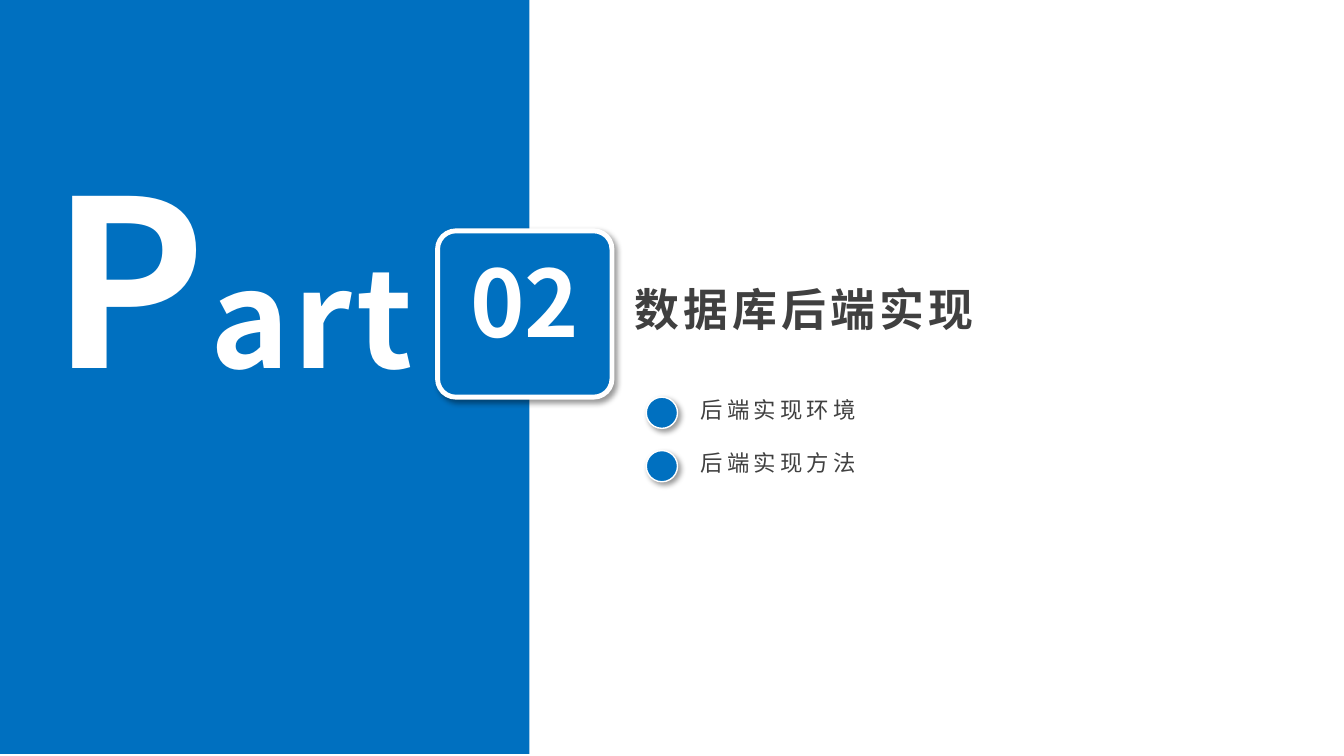
from lxml.etree import SubElement
from pptx import Presentation
from pptx.dml.color import RGBColor
from pptx.enum.shapes import MSO_SHAPE
from pptx.enum.text import PP_ALIGN
from pptx.oxml.ns import qn
from pptx.util import Inches, Pt

BLUE = RGBColor(0x00, 0x70, 0xC0)
WHITE = RGBColor(0xFF, 0xFF, 0xFF)
GRAY = RGBColor(0x40, 0x40, 0x40)


class SectionSlide:
    font_name = "Noto Sans CJK SC"
    line_spacing = 0.89

    def __init__(self, deck):
        self.page = deck.slides.add_slide(deck.slide_layouts[6])

    def panel(self, kind, left, top, width, height, border=None):
        shape = self.page.shapes.add_shape(
            kind, Inches(left), Inches(top), Inches(width), Inches(height))
        shape.shadow.inherit = False
        shape.fill.solid()
        shape.fill.fore_color.rgb = BLUE
        if border is None:
            shape.line.fill.background()
        else:
            shape.line.color.rgb = WHITE
            shape.line.width = Pt(border)
            self.cast_shadow(shape)
        return shape

    def cast_shadow(self, shape):
        effects = shape.element.spPr.find(qn("a:effectLst"))
        shadow = SubElement(
            effects, qn("a:outerShdw"), blurRad=str(Pt(4)), dist=str(Pt(3)),
            dir="2700000", algn="tl", rotWithShape="0")
        color = SubElement(shadow, qn("a:srgbClr"), val="000000")
        SubElement(color, qn("a:alpha"), val="40000")

    def text(self, pieces, left, top, width, height, color,
             bold=False, align=PP_ALIGN.LEFT, spacing=3):
        box = self.page.shapes.add_textbox(
            Inches(left), Inches(top), Inches(width), Inches(height))
        box.text_frame.word_wrap = True
        para = box.text_frame.paragraphs[0]
        para.alignment = align
        para.line_spacing = self.line_spacing
        for words, size in pieces:
            span = para.add_run()
            span.text = words
            span.font.size = Pt(size)
            span.font.bold = bold
            span.font.color.rgb = color
            span.font.name = self.font_name
            properties = span.font._element
            properties.set("spc", str(spacing * 100))
            SubElement(properties, qn("a:ea"), typeface=self.font_name)


def main():
    deck = Presentation()
    deck.slide_width = Inches(13.33)
    deck.slide_height = Inches(7.5)
    slide = SectionSlide(deck)

    slide.panel(MSO_SHAPE.RECTANGLE, 0, -0.02, 5.25, 7.5)
    slide.text([("P", 166), ("art", 96)], -0.83, 1.64, 6.27, 2.89, WHITE,
               bold=True, align=PP_ALIGN.CENTER)

    badge = slide.panel(MSO_SHAPE.ROUNDED_RECTANGLE, 4.34, 2.29, 1.73, 1.65, border=3.5)
    badge.adjustments[0] = 0.11
    slide.text([("02", 66)], 4.28, 2.52, 1.85, 1.21, WHITE,
               bold=True, align=PP_ALIGN.CENTER, spacing=0)

    slide.text([("数据库后端实现", 32)], 6.19, 2.81, 3.79, 0.64, GRAY, bold=True)

    for row, topic in enumerate(["后端实现环境", "后端实现方法"]):
        top = 3.91 + 0.53 * row
        slide.panel(MSO_SHAPE.OVAL, 6.41, top + 0.03, 0.31, 0.31, border=1)
        slide.text([(topic, 16)], 6.85, top, 1.79, 0.37, GRAY)

    deck.save("out.pptx")


if __name__ == "__main__":
    main()
